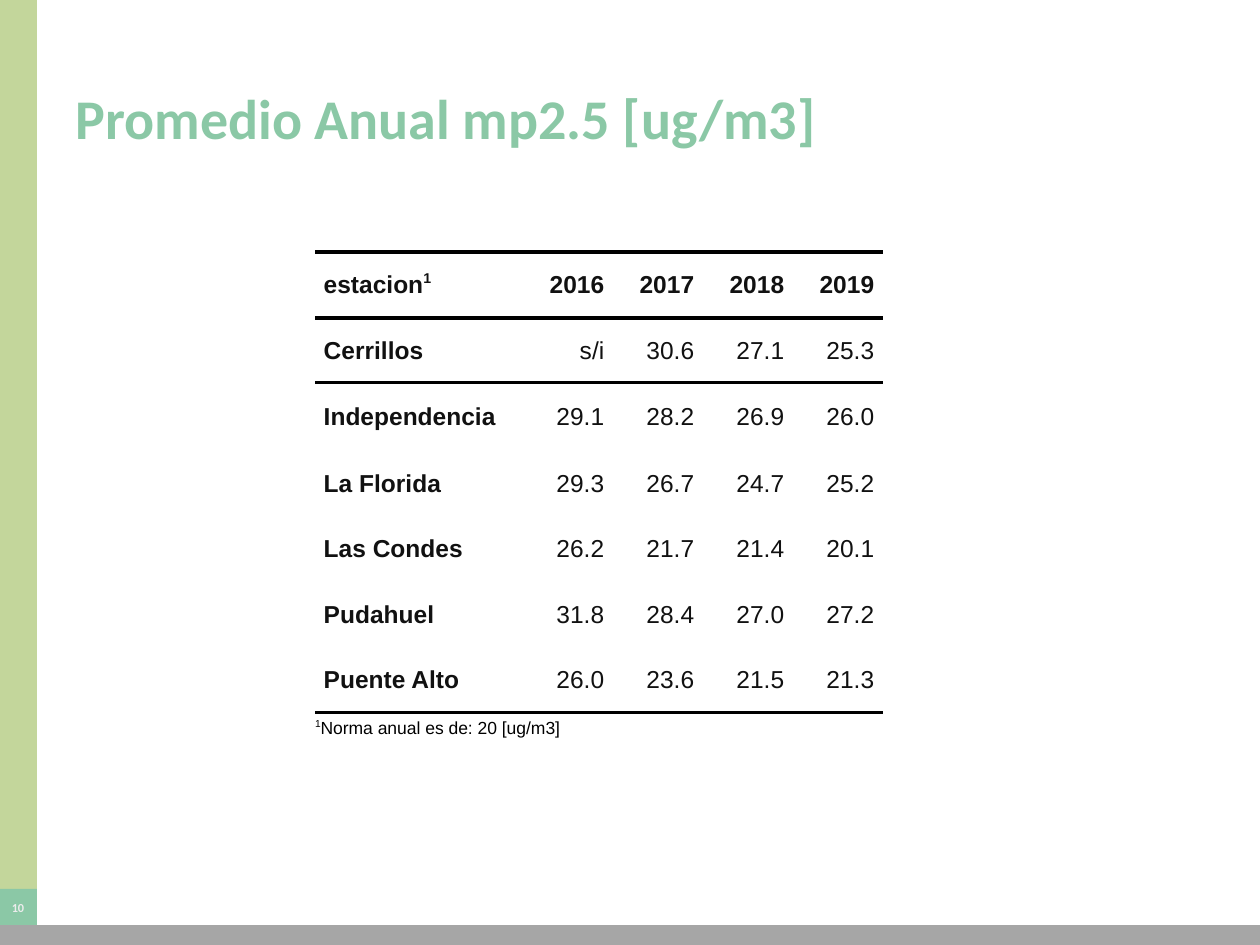
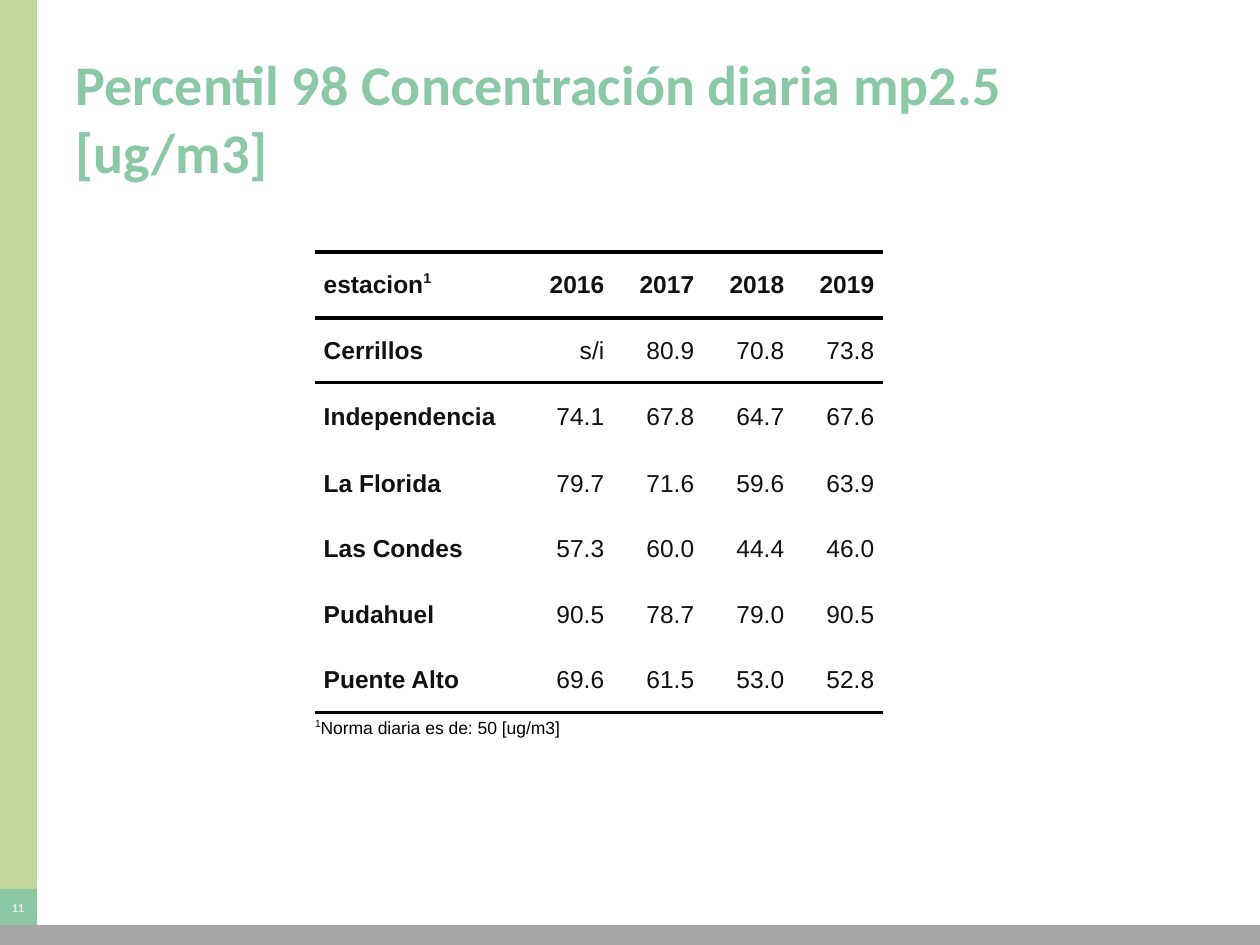
"""Build two slides with yearly mp2.5 tables for six stations."""
from pptx import Presentation
from pptx.dml.color import RGBColor
from pptx.enum.shapes import MSO_SHAPE
from pptx.enum.text import MSO_ANCHOR, PP_ALIGN
from pptx.oxml import parse_xml
from pptx.oxml.ns import nsdecls, qn
from pptx.util import Emu, Pt

SCALE = 914400 / 126
GREEN = "8BC8A6"
BANDS = [
    (0, 0, 37, 889, "C3D69B"),
    (-1, 889, 38, 37, GREEN),
    (-1, 925, 1264, 20, "A6A6A6"),
]
TITLE_FORMAT = {"name": "Calibri", "size": Pt(32), "bold": True}
NUMBER_FORMAT = {"name": "Calibri", "size": Pt(7), "bold": True}
CELL_FORMAT = {"name": "Arial", "size": Pt(14)}
NOTE_FORMAT = {"name": "Arial", "size": Pt(10), "bold": False}
NO_STYLE = "{2D5ABB26-0587-4C30-8999-92F81FD0307C}"
COLUMN_WIDTHS = [208, 90, 90, 90, 90]
ROW_HEIGHTS = [66, 65, 68, 66, 65, 66, 65, 31]
CELL_INDENT = str(Pt(5))
RULES = {0: ["lnT", "lnB"], 1: ["lnT"], 6: ["lnB"], 7: ["lnT"]}
YEARS = ["2016", "2017", "2018", "2019"]
STATIONS = ["Cerrillos", "Independencia", "La Florida", "Las Condes", "Pudahuel", "Puente Alto"]
PAGES = [
    (10, "Promedio Anual mp2.5 [ug/m3]", "Norma anual es de: 20 [ug/m3]", [
        ["s/i", "30.6", "27.1", "25.3"],
        ["29.1", "28.2", "26.9", "26.0"],
        ["29.3", "26.7", "24.7", "25.2"],
        ["26.2", "21.7", "21.4", "20.1"],
        ["31.8", "28.4", "27.0", "27.2"],
        ["26.0", "23.6", "21.5", "21.3"],
    ]),
    (11, "Percentil 98 Concentración diaria mp2.5 [ug/m3]", "Norma diaria es de: 50 [ug/m3]", [
        ["s/i", "80.9", "70.8", "73.8"],
        ["74.1", "67.8", "64.7", "67.6"],
        ["79.7", "71.6", "59.6", "63.9"],
        ["57.3", "60.0", "44.4", "46.0"],
        ["90.5", "78.7", "79.0", "90.5"],
        ["69.6", "61.5", "53.0", "52.8"],
    ]),
]


def px(*lengths):
    return [Emu(round(length * SCALE)) for length in lengths]


def add_run(paragraph, text, color, format_values, raised=False):
    run = paragraph.add_run()
    run.text = text
    for name, value in format_values.items():
        setattr(run.font, name, value)
    run.font.color.rgb = RGBColor.from_string(color)
    if raised:
        run._r.get_or_add_rPr().set("baseline", "40000")


presentation = Presentation()
presentation.slide_width, presentation.slide_height = px(1260, 945)

for number, title, note, values in PAGES:
    slide = presentation.slides.add_slide(presentation.slide_layouts[6])

    for left, top, width, height, color in BANDS:
        band = slide.shapes.add_shape(MSO_SHAPE.RECTANGLE, *px(left, top, width, height))
        band.shadow.inherit = False
        band.fill.solid()
        band.fill.fore_color.rgb = RGBColor.from_string(color)
        band.line.fill.background()
        if color == GREEN:
            frame = band.text_frame
            for side in ("left", "top", "right", "bottom"):
                setattr(frame, f"margin_{side}", 0)
            frame.vertical_anchor = MSO_ANCHOR.MIDDLE
            paragraph = frame.paragraphs[0]
            paragraph.alignment = PP_ALIGN.CENTER
            paragraph.space_after = Pt(6)
            add_run(paragraph, str(number), "ECECEC", NUMBER_FORMAT)

    title_frame = slide.shapes.add_textbox(*px(63, 38, 1134, 158)).text_frame
    title_frame.word_wrap = True
    title_frame.vertical_anchor = MSO_ANCHOR.MIDDLE
    add_run(title_frame.paragraphs[0], title, GREEN, TITLE_FORMAT)

    rows = [["estacion", *YEARS]]
    rows += [[station, *row] for station, row in zip(STATIONS, values)]
    table = slide.shapes.add_table(
        len(ROW_HEIGHTS), len(COLUMN_WIDTHS),
        *px(315, 252, sum(COLUMN_WIDTHS), sum(ROW_HEIGHTS))).table
    table._tbl.tblPr.find(qn("a:tableStyleId")).text = NO_STYLE
    table.first_row = table.horz_banding = False
    for column, width in zip(table.columns, px(*COLUMN_WIDTHS)):
        column.width = width
    for row, height in zip(table.rows, px(*ROW_HEIGHTS)):
        row.height = height

    for row_index, row in enumerate(table.rows):
        for cell in row.cells:
            for side in ("left", "top", "right", "bottom"):
                setattr(cell, f"margin_{side}", 0)
            cell.vertical_anchor = MSO_ANCHOR.MIDDLE
            for edge in RULES.get(row_index, []):
                cell._tc.get_or_add_tcPr().append(parse_xml(
                    f'<a:{edge} {nsdecls("a")} w="{Pt(2)}"><a:solidFill>'
                    f'<a:srgbClr val="000000"/></a:solidFill></a:{edge}>'))
            cell.fill.background()

    for row_index, texts in enumerate(rows):
        for column_index, text in enumerate(texts):
            paragraph = table.cell(row_index, column_index).text_frame.paragraphs[0]
            paragraph.alignment = PP_ALIGN.RIGHT if column_index else PP_ALIGN.LEFT
            paragraph.space_before = paragraph.space_after = Pt(2)
            for margin in ("marL", "marR"):
                paragraph._p.get_or_add_pPr().set(margin, CELL_INDENT)
            cell_format = {**CELL_FORMAT, "bold": row_index == 0 or column_index == 0}
            add_run(paragraph, text, "111111", cell_format)
            if row_index == column_index == 0:
                add_run(paragraph, "1", "111111", cell_format, raised=True)

    note_cell = table.cell(7, 0)
    note_cell.merge(table.cell(7, 4))
    paragraph = note_cell.text_frame.paragraphs[0]
    add_run(paragraph, "1", "000000", NOTE_FORMAT, raised=True)
    add_run(paragraph, note, "000000", NOTE_FORMAT)

presentation.save("out.pptx")
